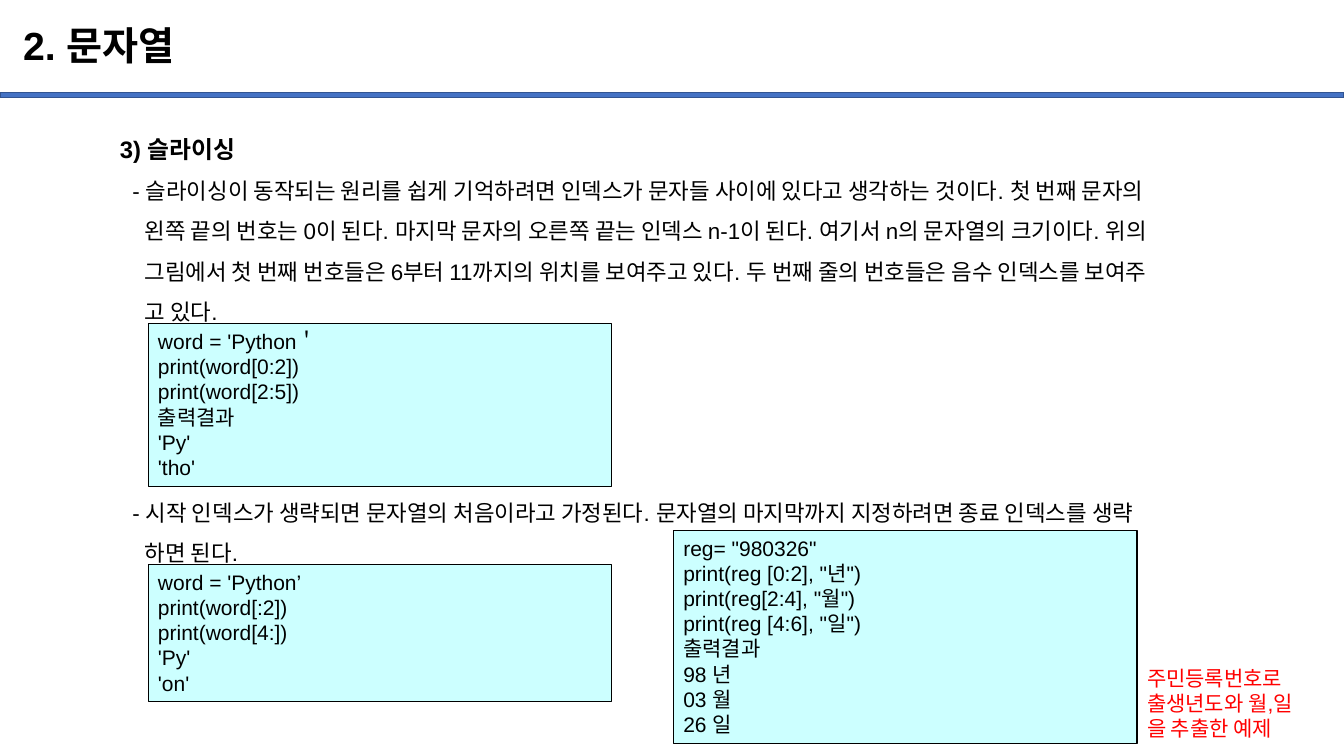
from dataclasses import dataclass

import pptx
import pptx.dml.color
import pptx.enum.shapes
import pptx.enum.text
import pptx.util

Pt = pptx.util.Pt
Anchor = pptx.enum.text.MSO_ANCHOR


@dataclass(frozen=True)
class Theme:
    font: str = "Arial"
    black: str = "000000"
    red: str = "FF0000"
    bar: str = "4472C4"
    bar_edge: str = "325491"
    code_fill: str = "CCFFFF"
    title_size: float = 28
    heading_size: float = 17
    body_size: float = 16
    code_size: float = 15


THEME = Theme()


@dataclass(frozen=True)
class Area:
    left: float
    top: float
    width: float
    height: float

    def lengths(self) -> list:
        return [Pt(n) for n in (self.left, self.top, self.width, self.height)]


@dataclass(frozen=True)
class Line:
    text: str
    size: float = THEME.body_size
    bold: bool = False
    indent: float = 0
    color: str = THEME.black


@dataclass(frozen=True)
class CodeBox:
    area: Area
    code: str


# Body indents: the dash, and the lines that continue below it
DASH, CONTINUED = 8.9, 17.8
CODE_WIDTH = 331.2
CODE_LEFT = 105.8

SLICING = [
    Line("3) 슬라이싱", THEME.heading_size, True),
    Line("- 슬라이싱이 동작되는 원리를 쉽게 기억하려면 인덱스가 문자들 사이에 있다고 생각하는 것이다. 첫 번째 문자의", indent=DASH),
    Line("왼쪽 끝의 번호는 0이 된다. 마지막 문자의 오른쪽 끝는 인덱스 n-1이 된다. 여기서 n의 문자열의 크기이다. 위의", indent=CONTINUED),
    Line("그림에서 첫 번째 번호들은 6부터 11까지의 위치를 보여주고 있다. 두 번째 줄의 번호들은 음수 인덱스를 보여주", indent=CONTINUED),
    Line("고 있다.", indent=CONTINUED),
]
OMITTED_INDEX = [
    Line("- 시작 인덱스가 생략되면 문자열의 처음이라고 가정된다. 문자열의 마지막까지 지정하려면 종료 인덱스를 생략", indent=DASH),
    Line("하면 된다.", indent=CONTINUED),
]
CODE_BOXES = [
    CodeBox(Area(CODE_LEFT, 231.1, CODE_WIDTH, 116.6), """word = 'Python＇
print(word[0:2])
print(word[2:5])
출력결과
'Py'
'tho'"""),
    CodeBox(Area(CODE_LEFT, 403.2, CODE_WIDTH, 97.9), """word = 'Python’
print(word[:2])
print(word[4:])
'Py'
'on'"""),
    CodeBox(Area(481, 378.7, CODE_WIDTH, 152.6), """reg= "980326"
print(reg [0:2], "년")
print(reg[2:4], "월")
print(reg [4:6], "일")
출력결과
98 년
03 월
26 일"""),
]
NOTE = """주민등록번호로
출생년도와 월,일
을 추출한 예제"""


def rgb(value: str) -> pptx.dml.color.RGBColor:
    return pptx.dml.color.RGBColor.from_string(value)


def code_lines(text: str, color: str = THEME.black) -> list[Line]:
    return [Line(row, THEME.code_size, color=color) for row in text.split("\n")]


def write_lines(shape, lines: list[Line], spacing: float = 1.0,
                anchor=Anchor.TOP, wrap: bool = True) -> None:
    frame = shape.text_frame
    frame.word_wrap = wrap
    frame.vertical_anchor = anchor
    frame.text = "\n".join(line.text for line in lines)
    for para, line in zip(frame.paragraphs, lines):
        para.alignment = pptx.enum.text.PP_ALIGN.LEFT
        para.line_spacing = spacing
        if line.indent:
            para._p.get_or_add_pPr().set("marL", str(Pt(line.indent)))
        for span in para.runs:
            span.font.name = THEME.font
            span.font.size = Pt(line.size)
            span.font.bold = line.bold
            span.font.color.rgb = rgb(line.color)


def add_text(page, area: Area, lines: list[Line], spacing: float = 1.0,
             anchor=Anchor.TOP, wrap: bool = True) -> None:
    box = page.shapes.add_textbox(*area.lengths())
    write_lines(box, lines, spacing, anchor, wrap)


def add_rectangle(page, area: Area, fill: str, edge: str, edge_width: float):
    shape = page.shapes.add_shape(
        pptx.enum.shapes.MSO_SHAPE.RECTANGLE, *area.lengths())
    shape.shadow.inherit = False
    shape.fill.solid()
    shape.fill.fore_color.rgb = rgb(fill)
    shape.line.color.rgb = rgb(edge)
    shape.line.width = Pt(edge_width)
    return shape


def main() -> None:
    deck = pptx.Presentation()
    deck.slide_width, deck.slide_height = Pt(960), Pt(540)
    page = deck.slides.add_slide(deck.slide_layouts[6])

    # Title and the bar below it
    add_rectangle(page, Area(0, 66.2, 960, 3.6), THEME.bar, THEME.bar_edge, 1)
    add_text(page, Area(9.4, 7.2, 828, 53.3),
             [Line("2. 문자열", THEME.title_size, True)], 0.9, Anchor.MIDDLE)

    # Explanations
    add_text(page, Area(78.5, 82.8, 843.8, 152), SLICING, 1.5)
    add_text(page, Area(78.5, 343.5, 843.8, 65), OMITTED_INDEX, 1.5)

    # Code samples
    for sample in CODE_BOXES:
        box = add_rectangle(page, sample.area, THEME.code_fill, THEME.black, 0.75)
        write_lines(box, code_lines(sample.code))

    # Red note beside the last sample
    add_text(page, Area(812.2, 471.6, 128.9, 61.9),
             code_lines(NOTE, THEME.red), wrap=False)

    deck.save("out.pptx")


if __name__ == "__main__":
    main()
